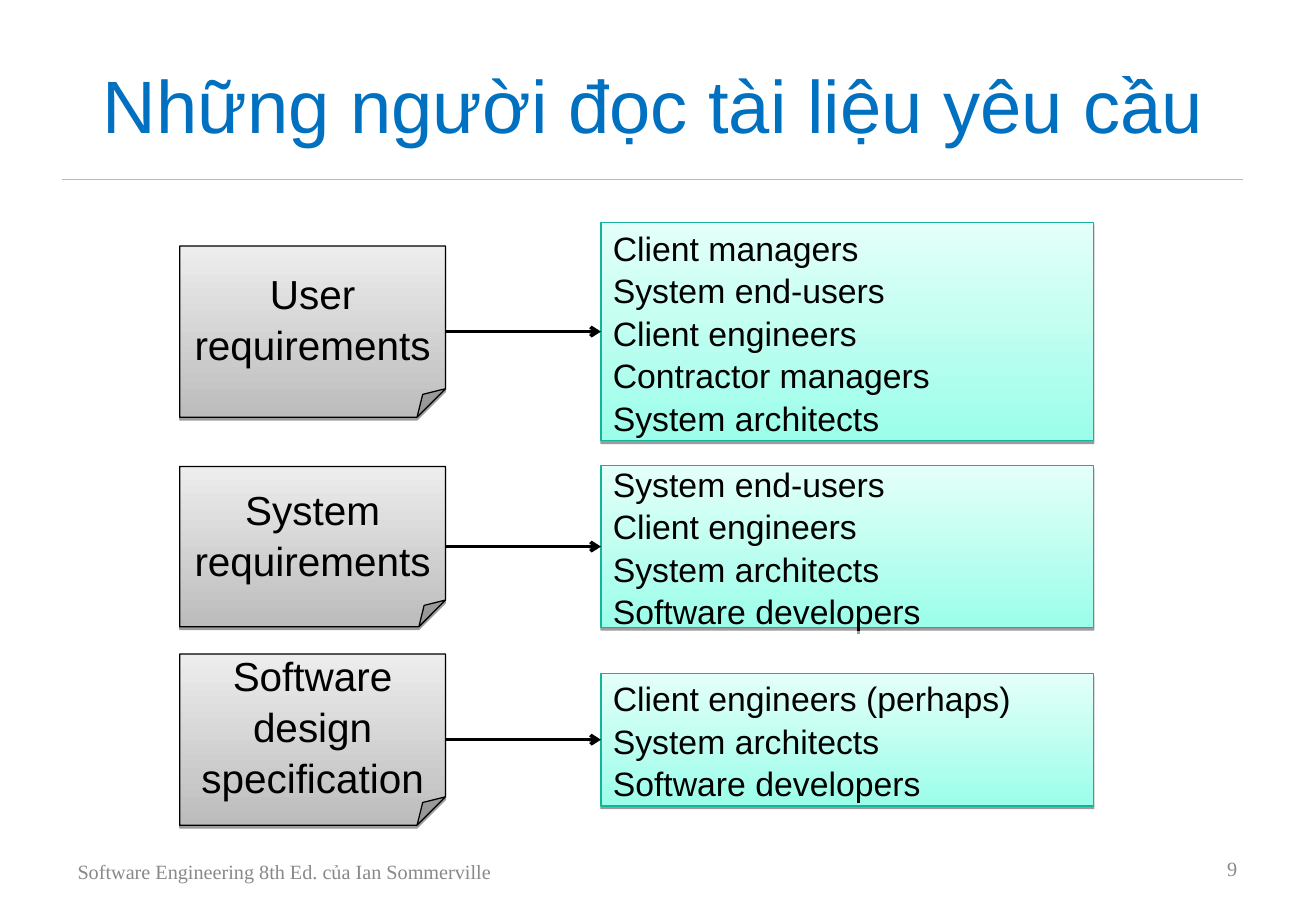
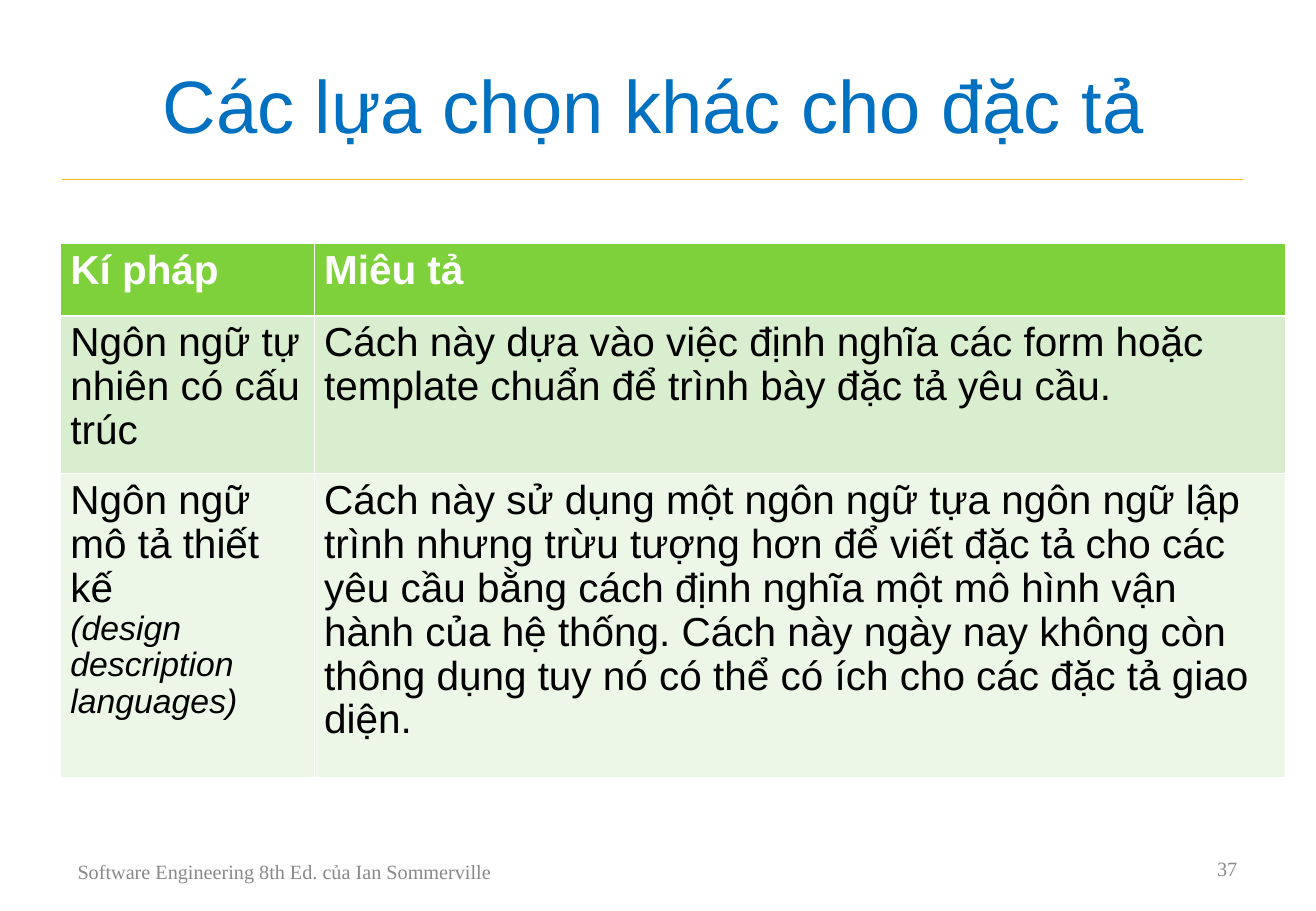
from dataclasses import dataclass

from lxml.etree import SubElement
from pptx import Presentation
from pptx.dml.color import RGBColor
from pptx.enum.shapes import MSO_CONNECTOR as Connector, MSO_SHAPE as Shape
from pptx.enum.text import MSO_ANCHOR as Anchor, PP_ALIGN as Align
from pptx.oxml.ns import qn
from pptx.util import Inches, Pt


@dataclass(frozen=True)
class Theme:
    """Colours, fonts and type sizes shared by the slides."""
    font: str = "Arial"
    footer_font: str = "Times New Roman"
    title: str = "0070C0"
    rule: str = "FEB80A"
    footer: str = "898989"
    ink: str = "000000"
    white: str = "FFFFFF"
    note_fill: tuple = ("BCBCBC", "EDEDED")
    reader_fill: tuple = ("9BFEE9", "E4FFF9")
    reader_line: str = "15B39E"
    row_fills: tuple = ("7FD13B", "D8EECE", "ECF7E8")
    title_size: int = 44
    body_size: int = 24
    list_size: int = 20
    footer_size: int = 12
    thin: float = 0.75
    arrow: float = 2
    cell_line: float = 0.45
    header_line: float = 1.47
    diagram_spacing: float = 1.05
    table_spacing: float = 0.97


THEME = Theme()
FOOTER = "Software Engineering 8th Ed. của Ian Sommerville"


def set_all(target, values):
    """Set each attribute named in a dict."""
    for name, value in values.items():
        setattr(target, name, value)


def write(frame, lines, size, color, align=Align.LEFT, spacing=None, **font):
    """Write lines into a text frame, one paragraph each."""
    values = {"name": THEME.font, "size": Pt(size), **font}
    for index, line in enumerate(lines):
        paragraph = frame.add_paragraph() if index else frame.paragraphs[0]
        set_all(paragraph, {"alignment": align, "line_spacing": spacing})
        run = paragraph.add_run()
        run.text = line
        set_all(run.font, values)
        run.font.color.rgb = RGBColor.from_string(color)


def add_text(slide, box, text, size, color, **style):
    """Add one wrapped line of text, centred vertically in its box."""
    frame = slide.shapes.add_textbox(*map(Inches, box)).text_frame
    set_all(frame, {"word_wrap": True, "vertical_anchor": Anchor.MIDDLE})
    write(frame, [text], size, color, **style)


def add_line(slide, start, end, color, width):
    """Add a straight connector without a shadow."""
    line = slide.shapes.add_connector(
        Connector.STRAIGHT, *map(Inches, (*start, *end)))
    line.line.color.rgb = RGBColor.from_string(color)
    line.line.width = Pt(width)
    SubElement(line.element.spPr, qn("a:effectLst"))
    return line


def add_slide(presentation, title, number):
    """Add a blank slide with the shared title, rule and footer."""
    slide = presentation.slides.add_slide(presentation.slide_layouts[6])
    add_line(slide, (0.51, 1.48), (10.24, 1.48), THEME.rule, THEME.thin)
    add_text(slide, (0.51, 0.23, 9.75, 1.25), title, THEME.title_size,
             THEME.title, align=Align.CENTER)
    footer = {"size": THEME.footer_size, "color": THEME.footer,
              "name": THEME.footer_font}
    add_text(slide, (0.54, 7, 6.62, 0.35), FOOTER, **footer)
    add_text(slide, (7.76, 6.95, 2.53, 0.4), str(number),
             align=Align.RIGHT, **footer)
    return slide


def add_panel(slide, kind, box, colors, outline, lines, size, align):
    """Add a gradient panel with a hard drop shadow and text."""
    panel = slide.shapes.add_shape(kind, *map(Inches, box))
    panel.fill.gradient()
    panel.fill.gradient_angle = 90
    for stop, color in zip(panel.fill.gradient_stops, colors):
        stop.color.rgb = RGBColor.from_string(color)
    panel.line.color.rgb = RGBColor.from_string(outline)
    panel.line.width = Pt(THEME.thin)
    panel.shadow.inherit = False
    effects = panel.element.spPr.find(qn("a:effectLst"))
    shadow = SubElement(effects, qn("a:outerShdw"), blurRad="0",
                        dist=str(Pt(1.6)), dir="5400000", rotWithShape="0")
    color = SubElement(shadow, qn("a:srgbClr"), val=THEME.ink)
    SubElement(color, qn("a:alpha"), val="38000")
    frame = panel.text_frame
    set_all(frame, {"word_wrap": True, "vertical_anchor": Anchor.MIDDLE})
    write(frame, lines, size, THEME.ink, align, THEME.diagram_spacing)
    return panel


def add_reader_row(slide, left, middle, document, heights, readers):
    """Add a document, its readers and the arrow joining them."""
    note_width, reader_offset, reader_width = 2.19, 3.47, 4.06
    note_height, reader_height = heights
    note = add_panel(
        slide, Shape.FOLDED_CORNER,
        (left, middle - note_height / 2, note_width, note_height),
        THEME.note_fill, THEME.ink, [document], THEME.body_size, Align.CENTER)
    reader = add_panel(
        slide, Shape.RECTANGLE,
        (left + reader_offset, middle - reader_height / 2,
         reader_width, reader_height),
        THEME.reader_fill, THEME.reader_line, readers, THEME.list_size,
        Align.LEFT)
    arrow = add_line(slide, (left + note_width, middle),
                     (left + reader_offset, middle), THEME.ink, THEME.arrow)
    arrow.begin_connect(note, 3)
    arrow.end_connect(reader, 1)
    SubElement(arrow.line._get_or_add_ln(), qn("a:tailEnd"), type="arrow")


def add_borders(cell, top, bottom):
    """Give a cell white borders with the stated top and bottom widths."""
    properties = cell._tc.get_or_add_tcPr()
    side = THEME.cell_line
    for tag, width in (("lnL", side), ("lnR", side),
                       ("lnT", top), ("lnB", bottom)):
        line = SubElement(properties, qn(f"a:{tag}"), w=str(Pt(width)))
        fill = SubElement(line, qn("a:solidFill"))
        SubElement(fill, qn("a:srgbClr"), val=THEME.white)


def add_notation_table(slide, left, top, columns, heights, rows):
    """Add the table of notations and their descriptions."""
    table = slide.shapes.add_table(
        len(rows), len(columns),
        *map(Inches, (left, top, sum(columns), sum(heights)))).table
    table.horz_banding = False
    for column, width in zip(table.columns, columns):
        column.width = Inches(width)
    thin, thick = THEME.cell_line, THEME.header_line
    borders = ((thin, thick), (thick, thin), (thin, thin))
    for index, texts in enumerate(rows):
        table.rows[index].height = Inches(heights[index])
        for column, text in enumerate(texts):
            cell = table.cell(index, column)
            add_borders(cell, *borders[index])
            cell.fill.solid()
            cell.fill.fore_color.rgb = RGBColor.from_string(
                THEME.row_fills[index])
            set_all(cell, {"margin_left": Inches(0.08),
                           "margin_right": Inches(0.08)})
            write(cell.text_frame, [text], THEME.body_size,
                  THEME.ink if index else THEME.white,
                  spacing=THEME.table_spacing, bold=index == 0)
    return table


def build_readers(presentation):
    """Build the slide on readers of requirements documents."""
    slide = add_slide(presentation, "Những người đọc tài liệu yêu cầu", 9)
    rows = (
        (2.73, "User requirements", (1.41, 1.8),
         ("Client managers", "System end-users", "Client engineers",
          "Contractor managers", "System architects")),
        (4.5, "System requirements", (1.32, 1.33),
         ("System end-users", "Client engineers", "System architects",
          "Software developers")),
        (6.09, "Software design specification", (1.41, 1.09),
         ("Client engineers (perhaps)", "System architects",
          "Software developers")),
    )
    for row in rows:
        add_reader_row(slide, 1.48, *row)


def build_notations(presentation):
    """Build the slide on alternative notations."""
    slide = add_slide(presentation, "Các lựa chọn khác cho đặc tả", 37)
    rows = (
        ("Kí pháp", "Miêu tả"),
        ("Ngôn ngữ tự nhiên có cấu trúc",
         "Cách này dựa vào việc định nghĩa các form hoặc template chuẩn "
         "để trình bày đặc tả yêu cầu."),
        ("Ngôn ngữ mô tả thiết kế",
         "Cách này sử dụng một ngôn ngữ tựa ngôn ngữ lập trình nhưng trừu "
         "tượng hơn để viết đặc tả cho các yêu cầu bằng cách định nghĩa một "
         "mô hình vận hành của hệ thống. Cách này ngày nay không còn thông "
         "dụng tuy nó có thể có ích cho các đặc tả giao diện."),
    )
    table = add_notation_table(slide, 0.5, 2, (2.09, 8), (0.6, 1.3, 2.5), rows)
    paragraph = table.cell(2, 0).text_frame.add_paragraph()
    paragraph.line_spacing = THEME.table_spacing
    run = paragraph.add_run()
    run.text = "(design description languages)"
    set_all(run.font, {"name": THEME.font, "size": Pt(THEME.list_size),
                       "italic": True})
    run.font.color.rgb = RGBColor.from_string(THEME.ink)


def main():
    """Build and save the presentation."""
    presentation = Presentation()
    set_all(presentation, {"slide_width": Inches(10.84),
                           "slide_height": Inches(7.5)})
    build_readers(presentation)
    build_notations(presentation)
    presentation.save("out.pptx")


if __name__ == "__main__":
    main()
